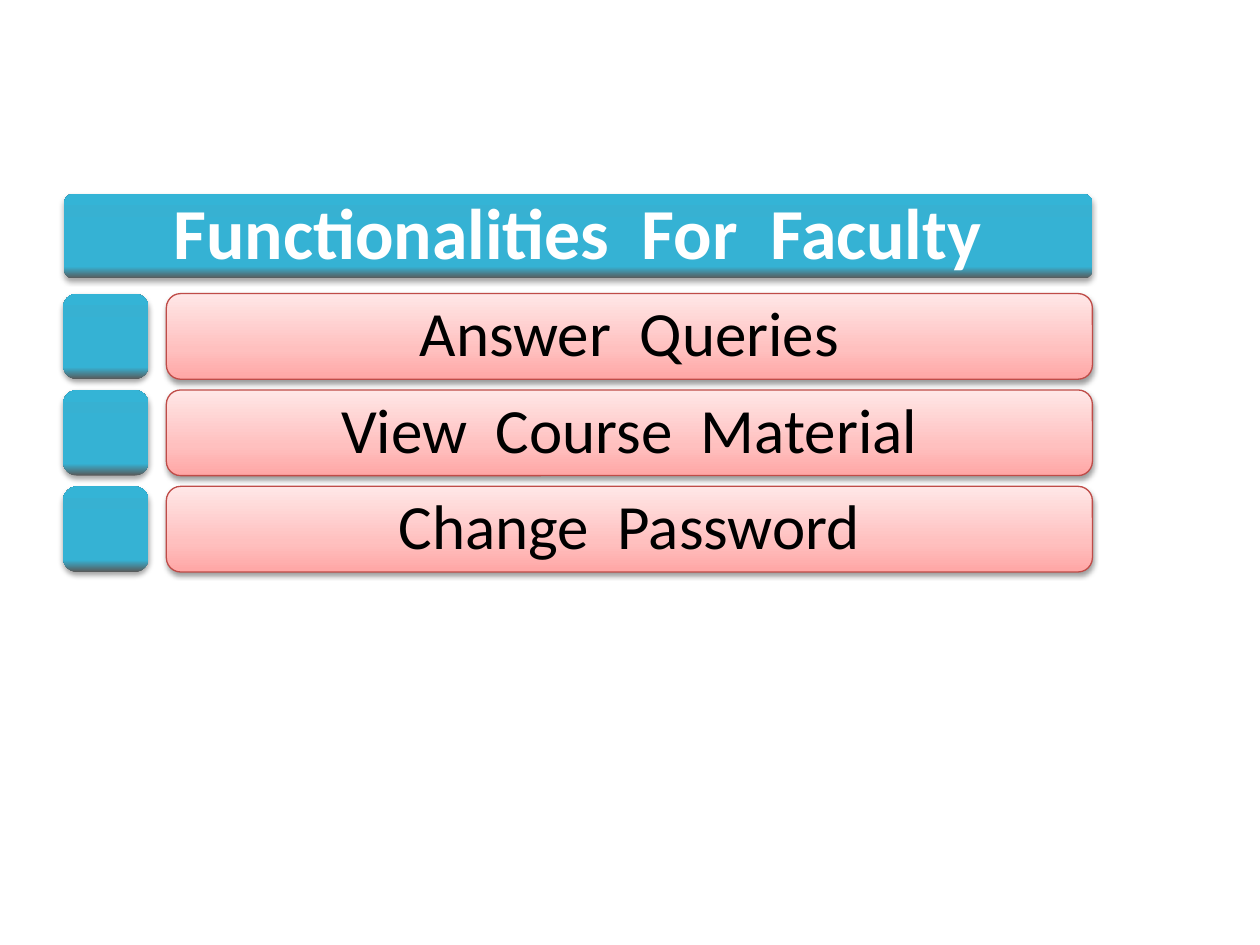
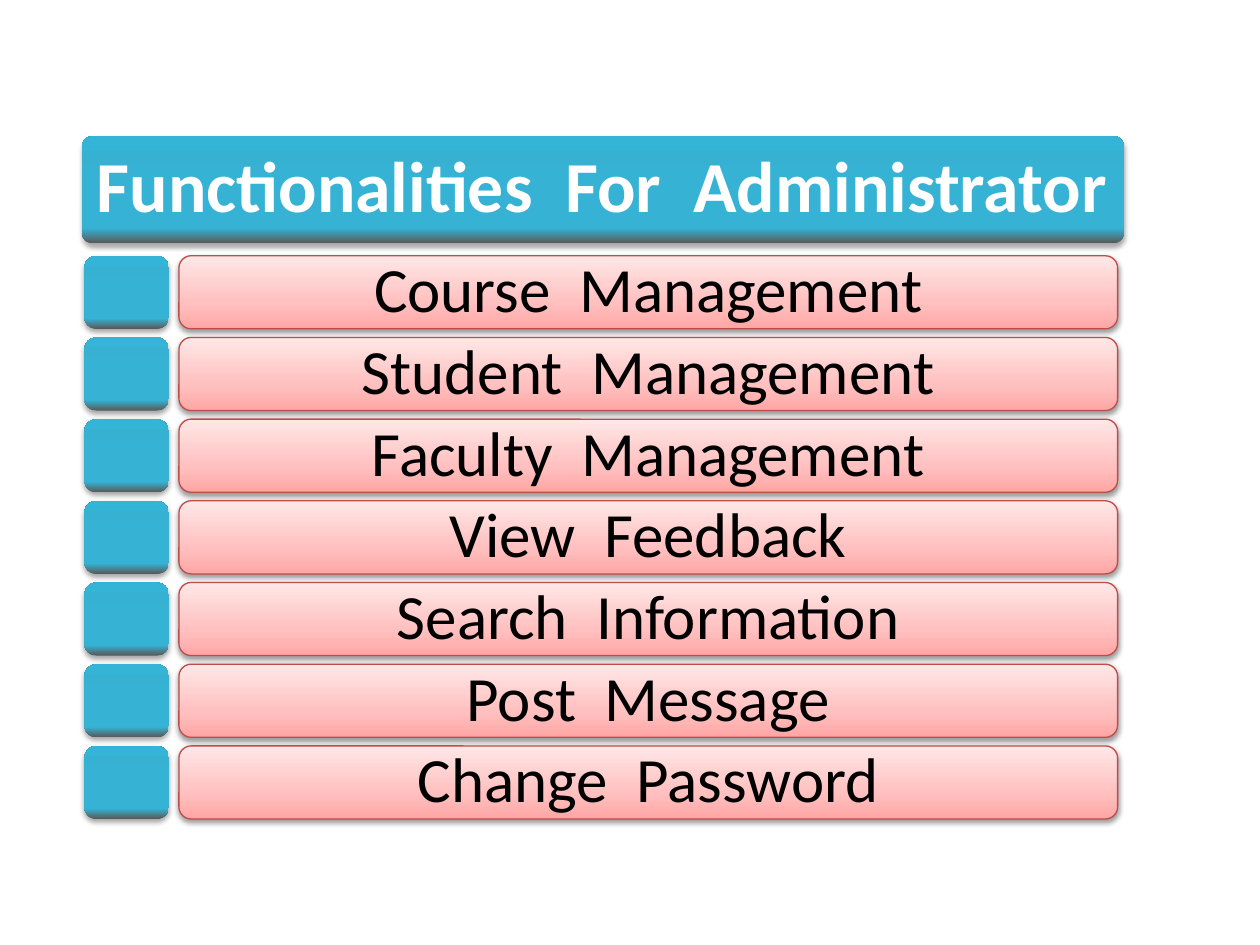
from lxml.etree import SubElement
from pptx import Presentation
from pptx.dml.color import RGBColor
from pptx.enum.shapes import MSO_SHAPE as Shape
from pptx.enum.text import MSO_ANCHOR as Anchor, PP_ALIGN as Align
from pptx.oxml.ns import qn
from pptx.util import Inches, Pt

WHITE = RGBColor(0xFF, 0xFF, 0xFF)
BLACK = RGBColor(0x00, 0x00, 0x00)
ROSE_EDGE = RGBColor(0xBF, 0x4C, 0x48)
TEAL_STOPS = [
    (0, RGBColor(0x59, 0x59, 0x59)),
    (14, RGBColor(0x35, 0xB2, 0xD4)),
    (73, RGBColor(0x37, 0xB1, 0xD2)),
    (100, RGBColor(0x34, 0xB4, 0xD6)),
]
ROSE_STOPS = [
    (0, RGBColor(0xFF, 0xA6, 0xA5)),
    (35, RGBColor(0xFF, 0xC0, 0xBF)),
    (100, RGBColor(0xFF, 0xE7, 0xE7)),
]


class FunctionDeck:
    font = "Calibri"
    title_size = Pt(41)
    function_size = Pt(36)

    def __init__(self):
        self.presentation = Presentation()
        self.presentation.slide_width = Inches(10)
        self.presentation.slide_height = Inches(7.5)
        self.slide = None

    def add_slide(self):
        self.slide = self.presentation.slides.add_slide(self.presentation.slide_layouts[6])

    def panel(self, left, top, width, height, stops, corner, opacity, distance):
        panel = self.slide.shapes.add_shape(
            Shape.ROUNDED_RECTANGLE, Inches(left), Inches(top), Inches(width), Inches(height)
        )
        panel.adjustments[0] = corner
        self.gradient(panel, stops)
        self.shadow(panel, opacity, distance)
        return panel

    def gradient(self, panel, stops):
        panel.fill.gradient()
        panel.fill.gradient_angle = 90
        stop_list = panel._element.spPr.find(".//" + qn("a:gsLst"))
        for default_stop in list(stop_list):
            stop_list.remove(default_stop)
        for percent, colour in stops:
            stop = SubElement(stop_list, qn("a:gs"), pos=str(percent * 1000))
            SubElement(stop, qn("a:srgbClr"), val=str(colour))

    def shadow(self, panel, opacity, distance):
        panel.shadow.inherit = False
        effects = panel._element.spPr.find(qn("a:effectLst"))
        outer = SubElement(
            effects, qn("a:outerShdw"), blurRad=str(Pt(3.1)), dist=str(Pt(distance)),
            dir="5400000", rotWithShape="0",
        )
        colour = SubElement(outer, qn("a:srgbClr"), val=str(BLACK))
        SubElement(colour, qn("a:alpha"), val=str(opacity * 1000))

    def teal_panel(self, left, top, width, height, corner=0.167):
        panel = self.panel(left, top, width, height, TEAL_STOPS, corner, 35, 1.8)
        panel.line.fill.background()
        return panel

    def label(self, panel, words, size, colour, bold=False):
        frame = panel.text_frame
        frame.word_wrap = True
        frame.vertical_anchor = Anchor.MIDDLE
        frame.margin_left = frame.margin_right = Inches(0.08)
        frame.margin_top = frame.margin_bottom = 0
        paragraph = frame.paragraphs[0]
        paragraph.alignment = Align.CENTER
        paragraph.line_spacing = 0.9
        run = paragraph.add_run()
        run.text = words
        run.font.name = self.font
        run.font.size = size
        run.font.bold = bold
        run.font.color.rgb = colour

    def title(self, words, left, top, width, height):
        banner = self.teal_panel(left, top, width, height, corner=0.1)
        self.label(banner, words, self.title_size, WHITE, bold=True)

    def function_bar(self, words, left, top, width, height):
        bar = self.panel(left, top, width, height, ROSE_STOPS, 0.167, 38, 1.6)
        bar.line.color.rgb = ROSE_EDGE
        bar.line.width = Pt(0.75)
        self.label(bar, words, self.function_size, BLACK)

    def function_list(self, functions, first_top, last_top, height, marker, bar):
        pitch = (last_top - first_top) / (len(functions) - 1)
        for row, words in enumerate(functions):
            top = first_top + row * pitch
            marker_left, marker_width = marker
            self.teal_panel(marker_left, top, marker_width, height)
            bar_left, bar_width = bar
            self.function_bar(words, bar_left, top, bar_width, height)


def main():
    deck = FunctionDeck()

    deck.add_slide()
    deck.title("Functionalities  For  Faculty", 0.51, 1.54, 8.16, 0.67)
    faculty_functions = ["Answer  Queries", "View  Course  Material", "Change  Password"]
    deck.function_list(faculty_functions, 2.33, 3.86, 0.68, marker=(0.5, 0.68), bar=(1.32, 7.35))

    deck.add_slide()
    deck.title("Functionalities  For  Administrator", 0.65, 1.08, 8.27, 0.85)
    administrator_functions = [
        "Course  Management",
        "Student  Management",
        "Faculty  Management",
        "View  Feedback",
        "Search  Information",
        "Post  Message",
        "Change  Password",
    ]
    deck.function_list(
        administrator_functions, 2.03, 5.92, 0.58, marker=(0.67, 0.67), bar=(1.42, 7.45)
    )

    deck.presentation.save("out.pptx")


if __name__ == "__main__":
    main()
